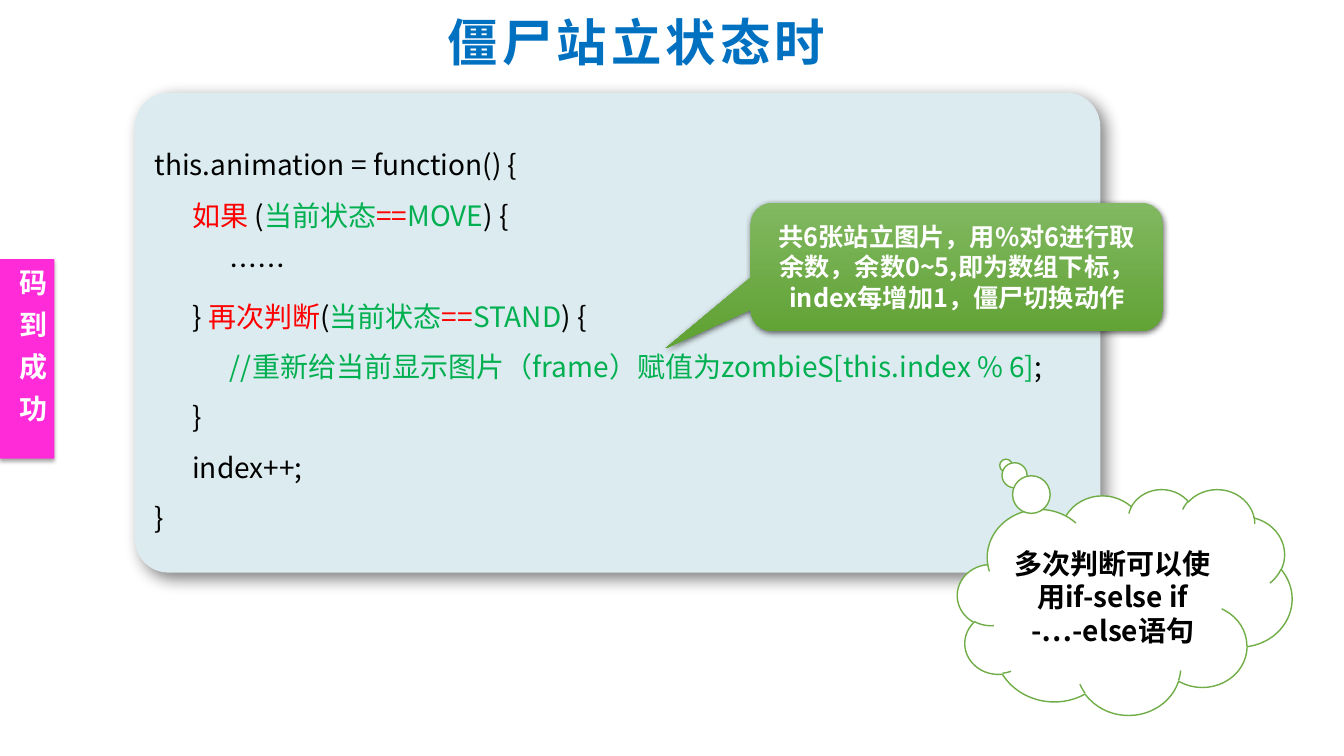
from lxml import etree
from pptx import Presentation
from pptx.dml.color import RGBColor
from pptx.enum.shapes import MSO_SHAPE as Shape
from pptx.enum.text import MSO_ANCHOR as Anchor, PP_ALIGN as Align
from pptx.oxml.ns import qn
from pptx.util import Cm, Pt

FONT = "Noto Sans CJK SC"
COLORS = {
    "black": "000000", "white": "FFFFFF", "red": "FF0000", "green": "00B050",
    "title": "0070C0", "tab": "FF2BD8", "panel": "DCEBEF",
    "tip_top": "81B861", "tip_bottom": "62A336", "cloud_line": "70AD47",
}
TITLE_ONLY = 5

CODE = [
    [("this.animation = function() {", "black")],
    [("      如果", "red"), (" (", "black"), ("当前状态", "green"), ("==", "red"),
     ("MOVE", "green"), (") {", "black")],
    [("            ……", "black")],
    [("      } ", "black"), ("再次判断", "red"), ("(", "black"), ("当前状态", "green"),
     ("==", "red"), ("STAND", "green"), (") {", "black")],
    [("            //重新给当前显示图片（frame）赋值为zombieS[this.index % 6]", "green"),
     (";", "black")],
    [("      }", "black")],
    [("      index++;", "black")],
    [("}", "black")],
]


def rgb(name):
    return RGBColor.from_string(COLORS[name])


def write(frame, lines, size=20, bold=False, align=Align.CENTER,
          anchor=Anchor.MIDDLE, line_spacing=1.0, tracking=0):
    """Fill a text frame; each line is a list of (text, colour name) runs."""
    frame.vertical_anchor = anchor
    for number, line in enumerate(lines):
        paragraph = frame.add_paragraph() if number else frame.paragraphs[0]
        paragraph.alignment = align
        paragraph.line_spacing = line_spacing
        for text, color in line:
            run = paragraph.add_run()
            run.text = text
            font = run.font
            font.size, font.bold, font.name = Pt(size), bold, FONT
            font.color.rgb = rgb(color)
            properties = run._r.get_or_add_rPr()
            etree.SubElement(properties, qn("a:ea"), typeface=FONT)
            if tracking:
                properties.set("spc", str(tracking * 100))


def add_block(slide, kind, box, fill=None, adjustments=(), shadow=None):
    """Add a borderless shape; shadow is (opacity %, blur pt, distance pt, angle)."""
    block = slide.shapes.add_shape(kind, *map(Cm, box))
    for index, value in enumerate(adjustments):
        block.adjustments[index] = value
    if fill:
        block.fill.solid()
        block.fill.fore_color.rgb = rgb(fill)
    block.line.fill.background()
    block.shadow.inherit = False
    if shadow:
        opacity, blur, distance, angle = shadow
        effects = block._element.spPr.find(qn("a:effectLst"))
        outer = etree.SubElement(
            effects, qn("a:outerShdw"), blurRad=str(Pt(blur)), dist=str(Pt(distance)),
            dir=str(angle * 60000), algn="ctr", rotWithShape="0")
        shade = etree.SubElement(outer, qn("a:srgbClr"), val=COLORS["black"])
        etree.SubElement(shade, qn("a:alpha"), val=str(opacity * 1000))
    return block


def add_title(slide, box):
    title = slide.shapes.title
    title.left, title.top, title.width, title.height = map(Cm, box)
    title.text_frame.word_wrap = False
    write(title.text_frame, [[("僵尸站立状态时", "title")]], size=36, bold=True, tracking=3)


def add_side_tab(slide, box):
    tab = add_block(slide, Shape.RECTANGLE, box, "tab", shadow=(35, 3.1, 1.8, 90))
    tab.text_frame._txBody.bodyPr.set("vert", "eaVert")
    write(tab.text_frame, [[("码到成功", "white")]], bold=True, anchor=Anchor.TOP,
          tracking=10)


def add_code_panel(slide, box):
    panel = add_block(slide, Shape.ROUNDED_RECTANGLE, box, "panel", [0.07],
                      shadow=(50, 12, 6, 45))
    write(panel.text_frame, CODE, align=Align.LEFT, line_spacing=1.5)


def add_index_tip(slide, box):
    tip = add_block(slide, Shape.ROUNDED_RECTANGULAR_CALLOUT, box,
                    adjustments=[-0.707, 0.637, 0.167], shadow=(63, 4.5, 1.5, 90))
    tip.fill.gradient()
    tip.fill.gradient_angle = 270
    for stop, color in zip(tip.fill.gradient_stops, ("tip_top", "tip_bottom")):
        stop.color.rgb = rgb(color)
    message = "共6张站立图片，用%对6进行取余数，余数0~5,即为数组下标，index每增加1，僵尸切换动作"
    write(tip.text_frame, [[(message, "white")]], size=18, bold=True)


def add_thought_cloud(slide, box):
    cloud = add_block(slide, Shape.CLOUD_CALLOUT, box, "white", [-0.355, -0.604])
    cloud.line.color.rgb = rgb("cloud_line")
    cloud.line.width = Pt(1)
    write(cloud.text_frame, [[("多次判断可以使用if-selse if -…-else语句", "black")]], bold=True)


def main():
    deck = Presentation()
    deck.slide_width, deck.slide_height = Cm(33.87), Cm(19.05)
    slide = deck.slides.add_slide(deck.slide_layouts[TITLE_ONLY])
    add_side_tab(slide, (0, 6.53, 1.37, 5.03))
    add_code_panel(slide, (3.4, 2.34, 24.33, 12.09))
    add_title(slide, (10.92, 0.13, 10.24, 1.8))
    add_index_tip(slide, (18.92, 5.11, 10.39, 3.23))
    add_thought_cloud(slide, (24.13, 12.32, 8.43, 5.69))
    deck.save("out.pptx")


if __name__ == "__main__":
    main()
